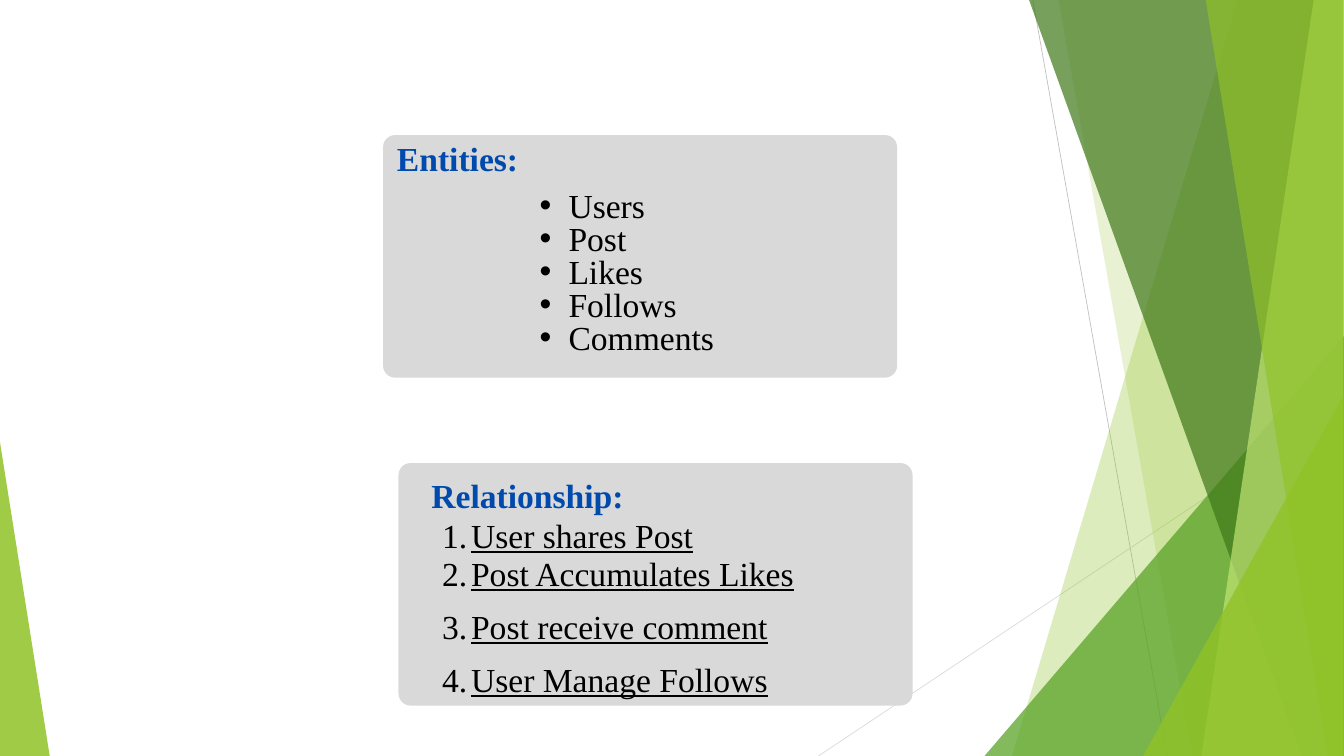
from dataclasses import dataclass

from lxml.etree import SubElement
from pptx import Presentation
from pptx.dml.color import RGBColor as RGB
from pptx.enum.shapes import MSO_CONNECTOR as CONN, MSO_SHAPE as SHAPE
from pptx.enum.text import MSO_ANCHOR as ANCHOR, MSO_AUTO_SIZE as FIT, PP_ALIGN as ALIGN
from pptx.oxml.ns import qn
from pptx.util import Inches, Pt


@dataclass(frozen=True)
class Theme:
    """Colours, font and type sizes of the slide."""
    font: str = "Times New Roman"
    size: float = 36
    heading: str = "004AAD"
    text: str = "000000"
    panel: str = "D9D9D9"
    lime: str = "90C226"
    pale: str = "C0E474"
    green: str = "54A021"
    dark: str = "3F7819"
    rule: str = "BFBFBF"
    faint: str = "D9D9D9"


T = Theme()
WIDTH, HEIGHT = 20, 11.25
LOOSE, TIGHT, LIST = 56.5, 40.7, 35.3


def paint(sp, color, opacity=100):
    """Give a shape a flat fill without line or shadow."""
    sp.shadow.inherit = False
    sp.line.fill.background()
    sp.fill.solid()
    sp.fill.fore_color.rgb = RGB.from_string(color)
    if opacity < 100:
        clr = sp.element.spPr.find(f".//{qn('a:srgbClr')}")
        SubElement(clr, qn("a:alpha"), val=str(opacity * 1000))


def add_rule(s, start, end, color):
    """Draw a hairline between two points."""
    line = s.shapes.add_connector(CONN.STRAIGHT, *map(Inches, start + end))
    line.line.color.rgb = RGB.from_string(color)
    line.line.width = Pt(0.75)
    SubElement(line.element.spPr, qn("a:effectLst"))


def add_band(s, top, bottom, color, opacity):
    """Draw a full-height band from its left and right edges at top and bottom."""
    (tl, tr), (bl, br) = top, bottom
    points = [(Inches(x), Inches(y)) for x, y in
              ((tl, -0.01), (tr, -0.01), (br, HEIGHT), (bl, HEIGHT))]
    builder = s.shapes.build_freeform(*points[0])
    builder.add_line_segments(points[1:], close=True)
    paint(builder.convert_to_shape(), color, opacity)


def add_wedge(s, box, peak, color, opacity):
    """Draw a right triangle whose peak lies at the given share of its width."""
    sp = s.shapes.add_shape(SHAPE.ISOSCELES_TRIANGLE, *map(Inches, box))
    sp.adjustments[0] = peak
    paint(sp, color, opacity)


def add_facets(s):
    """Draw the faceted decoration at both slide edges."""
    add_rule(s, (15.37, 0), (17.37, HEIGHT), T.rule)
    add_rule(s, (19.99, 6.04), (12.18, HEIGHT), T.faint)
    right = 19.99
    add_band(s, (18.42, right), (15.06, right), T.lime, 30)
    add_band(s, (15.75, WIDTH), (17.74, WIDTH), T.lime, 20)
    add_wedge(s, (14.65, 5, 5.35, 6.25), 1, T.green, 72)
    add_band(s, (15.31, right), (19.37, right), T.dark, 70)
    add_band(s, (19.55, right), (17.88, right), T.pale, 70)
    add_band(s, (17.94, right), (19.76, right), T.lime, 65)
    add_wedge(s, (17.01, 5.89, 2.98, 5.36), 1, T.lime, 80)
    add_wedge(s, (0, 6.58, 0.74, 4.67), 0, T.lime, 85)


def fill_placeholder(s, idx, box, lines, color, para, font, bullet=None):
    """Place a placeholder above the shapes and write (text, line spacing) pairs."""
    ph = next(p for p in s.placeholders if p.placeholder_format.idx == idx)
    s.shapes.element.append(ph.element)
    ph.left, ph.top, ph.width, ph.height = map(Inches, box)
    tf = ph.text_frame
    frame = dict(word_wrap=True, auto_size=FIT.NONE, vertical_anchor=ANCHOR.TOP,
                 margin_left=0, margin_top=0, margin_right=0, margin_bottom=0)
    for name, value in frame.items():
        setattr(tf, name, value)
    for i, (text, spacing) in enumerate(lines):
        p = tf.paragraphs[0] if i == 0 else tf.add_paragraph()
        r = p.add_run()
        r.text = text
        for name, value in dict(para, line_spacing=Pt(spacing),
                                space_before=Pt(0), space_after=Pt(0)).items():
            setattr(p, name, value)
        for name, value in dict(font, name=T.font, size=Pt(T.size)).items():
            setattr(r.font, name, value)
        r.font.color.rgb = RGB.from_string(color)
        if bullet:
            tag, attrs = bullet
            pPr = p._p.get_or_add_pPr()
            pPr.set("marL", str(Inches(0.85)))
            pPr.set("indent", str(Inches(-0.43)))
            SubElement(pPr, qn("a:buFont"), typeface="Arial" if tag == "a:buChar" else T.font)
            SubElement(pPr, qn(tag), **attrs)


def add_card(s, box, first_idx, heading, heading_box, lines, list_box, bullet, underline):
    """Draw a rounded panel with its heading and list placeholders."""
    panel = s.shapes.add_shape(SHAPE.ROUNDED_RECTANGLE, *map(Inches, box))
    panel.adjustments[0] = 0.05
    paint(panel, T.panel)
    fill_placeholder(s, first_idx, heading_box, [(heading, LOOSE)], T.heading,
                     {"alignment": ALIGN.CENTER}, {"bold": True})
    fill_placeholder(s, first_idx + 1, list_box, lines, T.text,
                     {"level": 1, "alignment": ALIGN.LEFT},
                     {"bold": False, "underline": underline}, bullet)


def main():
    """Build and save the slide."""
    prs = Presentation()
    prs.slide_width, prs.slide_height = Inches(WIDTH), Inches(HEIGHT)
    s = prs.slides.add_slide(prs.slide_layouts.get_by_name("Comparison"))
    s.shapes.element.remove(s.shapes.title.element)
    add_facets(s)
    entities = ["Users", "Post", "Likes", "Follows", "Comments"]
    add_card(s, (5.7, 2.01, 7.65, 3.61), 1, "Entities:", (2.98, 1.87, 7.66, 0.73),
             [(name, LIST) for name in entities], (7.61, 2.86, 3.4, 2.47),
             ("a:buChar", {"char": "•"}), False)
    relations = [("User shares Post", LOOSE), ("Post Accumulates Likes", TIGHT),
                 ("Post receive comment", LOOSE), ("User Manage Follows", LOOSE)]
    add_card(s, (5.93, 6.89, 7.65, 3.61), 3, "Relationship:", (4.02, 6.88, 7.66, 0.73),
             relations, (6.16, 7.48, 7.66, 2.89),
             ("a:buAutoNum", {"type": "arabicPeriod"}), True)
    prs.save("out.pptx")


if __name__ == "__main__":
    main()
